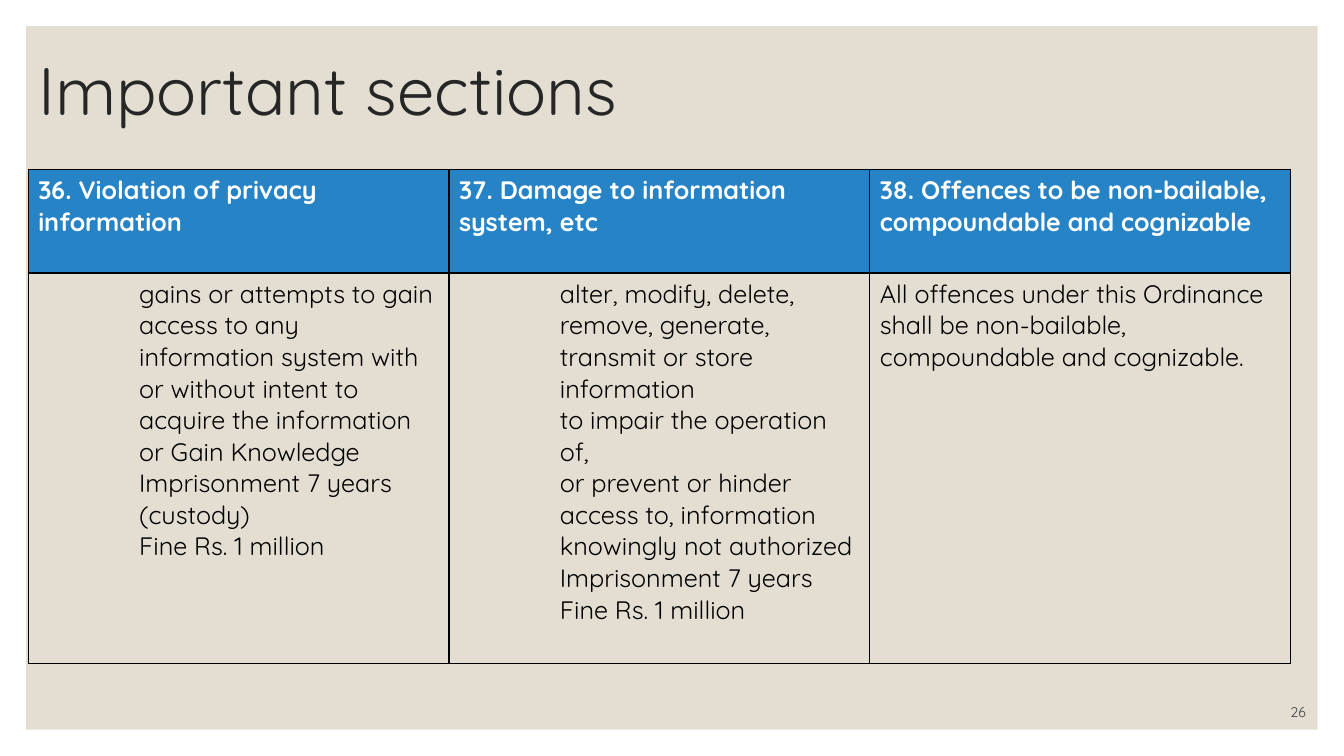
from dataclasses import dataclass

from lxml import etree
from pptx import Presentation
from pptx.dml.color import RGBColor
from pptx.enum.shapes import MSO_SHAPE
from pptx.enum.text import MSO_ANCHOR, PP_ALIGN
from pptx.oxml.ns import qn
from pptx.util import Emu, Inches, Pt

RECTANGLE = MSO_SHAPE.RECTANGLE
MIDDLE, BOTTOM = MSO_ANCHOR.MIDDLE, MSO_ANCHOR.BOTTOM
LEFT, RIGHT = PP_ALIGN.LEFT, PP_ALIGN.RIGHT
TITLE_ONLY = 5


@dataclass(frozen=True)
class Theme:
    """Colours and type sizes of the deck."""
    font: str = "Quicksand"
    panel: str = "E3DED1"
    header: str = "2683C6"
    header_text: str = "FFFFFF"
    title_text: str = "262626"
    body_text: str = "000000"
    number_text: str = "404040"
    border: str = "000000"
    title_size: int = 48
    table_size: int = 18
    number_size: int = 10
    border_width: int = 1


THEME = Theme()
MARGIN = 0.26
CONTENT_LEFT = 0.28
ROW_SHARES = (0.21, 0.79)
CLAUSE_INDENT = 1

SECTIONS = [
    ("36. Violation of privacy information", CLAUSE_INDENT, [
        "gains or attempts to gain access to any information system with "
        "or without intent to acquire the information or Gain Knowledge",
        "Imprisonment 7 years (custody)",
        "Fine Rs. 1 million",
    ]),
    ("37. Damage to information system, etc", CLAUSE_INDENT, [
        "alter, modify, delete, remove, generate, transmit or store information",
        "to impair the operation of,",
        "or prevent or hinder access to, information",
        "knowingly not authorized",
        "Imprisonment 7 years",
        "Fine Rs. 1 million",
    ]),
    ("38. Offences to be non-bailable, compoundable and cognizable", 0, [
        "All offences under this Ordinance shall be non-bailable, "
        "compoundable and cognizable.",
    ]),
]


def format_text(frame, size, color, bold=False, align=LEFT):
    """Apply one type style to every run of a text frame."""
    for paragraph in frame.paragraphs:
        paragraph.alignment = align
        for run in paragraph.runs:
            run.font.name = THEME.font
            run.font.size = Pt(size)
            run.font.bold = bold
            run.font.color.rgb = RGBColor.from_string(color)


def add_panel(slide, box):
    """Draw the plain panel behind the content."""
    panel = slide.shapes.add_shape(RECTANGLE, *box)
    panel.shadow.inherit = False
    panel.fill.solid()
    panel.fill.fore_color.rgb = RGBColor.from_string(THEME.panel)
    panel.line.fill.background()
    slide.shapes._spTree.insert(2, panel._element)


def set_title(slide, box, wording):
    """Place and format the title placeholder."""
    title = slide.shapes.title
    title.left, title.top, title.width, title.height = box
    frame = title.text_frame
    frame.text = wording
    frame.word_wrap = True
    frame.vertical_anchor = MIDDLE
    frame.paragraphs[0].line_spacing = 0.9
    format_text(frame, THEME.title_size, THEME.title_text)


def add_page_number(slide, box, number):
    """Write the page number at the lower right of its box."""
    frame = slide.shapes.add_textbox(*box).text_frame
    frame.text = str(number)
    frame.word_wrap = True
    frame.vertical_anchor = BOTTOM
    format_text(frame, THEME.number_size, THEME.number_text, align=RIGHT)


def outline_cell(cell):
    """Put a thin line on all four sides of a cell."""
    properties = cell._tc.get_or_add_tcPr()
    for position, side in enumerate(("a:lnL", "a:lnR", "a:lnT", "a:lnB")):
        line = etree.Element(qn(side), w=str(Pt(THEME.border_width)))
        fill = etree.SubElement(line, qn("a:solidFill"))
        etree.SubElement(fill, qn("a:srgbClr"), val=THEME.border)
        properties.insert(position, line)


def fill_header(cell, heading):
    """Write a section heading on the header colour."""
    cell.text_frame.text = heading
    format_text(cell.text_frame, THEME.table_size, THEME.header_text, bold=True)
    cell.fill.solid()
    cell.fill.fore_color.rgb = RGBColor.from_string(THEME.header)
    outline_cell(cell)


def fill_clauses(cell, clauses, indent):
    """Write one paragraph per clause, indented by the given inches."""
    cell.text_frame.text = "\n".join(clauses)
    format_text(cell.text_frame, THEME.table_size, THEME.body_text)
    if indent:
        for paragraph in cell.text_frame.paragraphs:
            paragraph.level = 2
            properties = paragraph._p.get_or_add_pPr()
            properties.set("marL", str(Inches(indent)))
            properties.set("indent", "0")
    cell.fill.background()
    outline_cell(cell)


def add_sections(slide, box, sections):
    """Build a table with one column per section."""
    width, height = box[2:]
    table = slide.shapes.add_table(len(ROW_SHARES), len(sections), *box).table
    table.horz_banding = False
    for row, share in zip(table.rows, ROW_SHARES):
        row.height = Emu(int(height * share))
    for index, (heading, indent, clauses) in enumerate(sections):
        table.columns[index].width = Emu(width // len(sections))
        fill_header(table.cell(0, index), heading)
        fill_clauses(table.cell(1, index), clauses, indent)


def inches(*lengths):
    """Turn a box given in inches into slide units."""
    return tuple(Inches(length) for length in lengths)


def build_sections_slide(deck):
    """Compose the slide of important sections."""
    slide = deck.slides.add_slide(deck.slide_layouts[TITLE_ONLY])
    edge = Inches(MARGIN)
    add_panel(slide, (edge, edge, deck.slide_width - 2 * edge,
                      deck.slide_height - 2 * edge))
    set_title(slide, inches(CONTENT_LEFT, 0.18, 11, 1.5), "Important sections")
    add_sections(slide, inches(CONTENT_LEFT, 1.68, 12.52, 4.9), SECTIONS)
    add_page_number(slide, inches(11.45, 6.9, 1.6, 0.3), 26)


def main():
    """Create and save the deck."""
    deck = Presentation()
    deck.slide_width, deck.slide_height = inches(13.33, 7.5)
    build_sections_slide(deck)
    deck.save("out.pptx")


if __name__ == "__main__":
    main()
